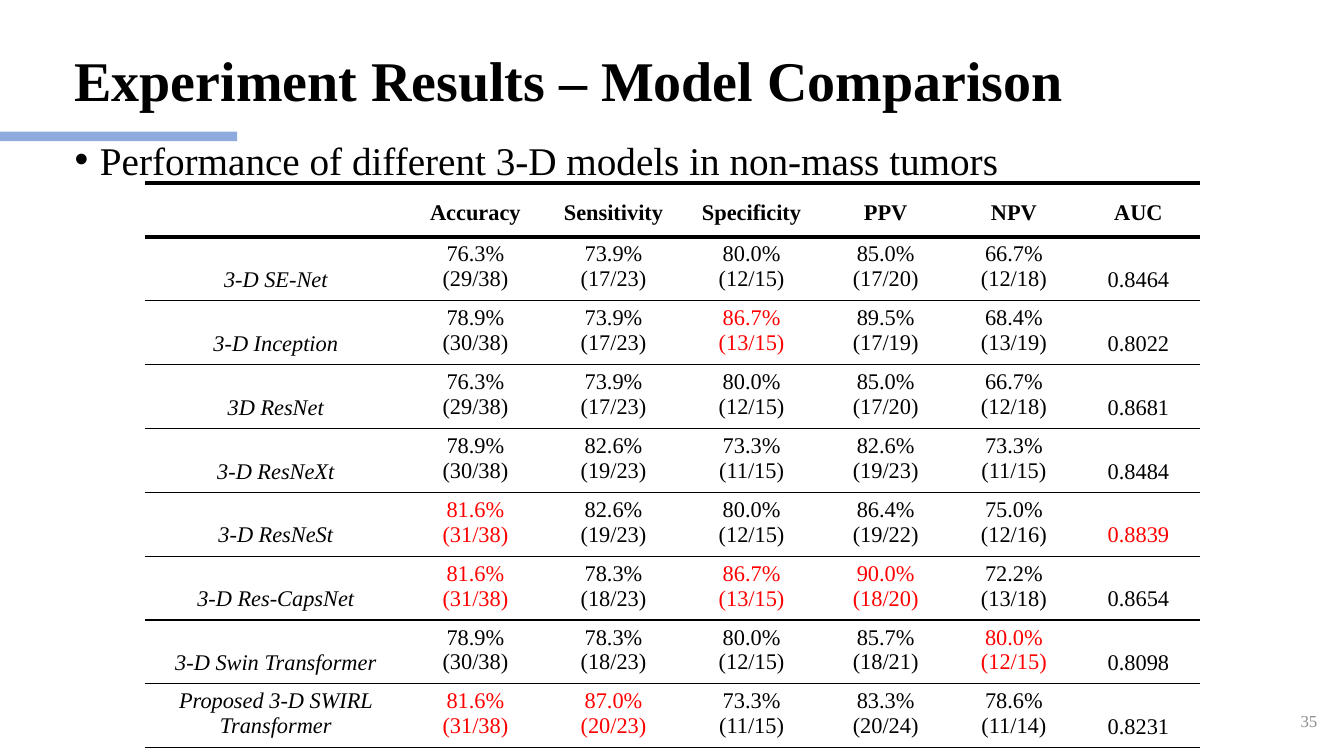
from dataclasses import dataclass

from lxml import etree
from pptx import Presentation
from pptx.dml.color import RGBColor
from pptx.enum.shapes import MSO_SHAPE
from pptx.enum.text import MSO_ANCHOR, PP_ALIGN
from pptx.oxml.ns import qn
from pptx.util import Cm, Pt

LEFT, CENTER, RIGHT = PP_ALIGN.LEFT, PP_ALIGN.CENTER, PP_ALIGN.RIGHT
TOP, MIDDLE = MSO_ANCHOR.TOP, MSO_ANCHOR.MIDDLE
RECT = MSO_SHAPE.RECTANGLE


@dataclass(frozen=True)
class Theme:
    face: str = "Times New Roman"
    ink: str = "000000"
    best: str = "FF0000"
    accent: str = "8FAADC"
    muted: str = "8C8C8C"
    title: int = 40
    body: int = 28
    cell: int = 16
    page: int = 12
    thick: int = 3
    thin: int = 1


theme = Theme()


def write(para, text, size, color=theme.ink, align=CENTER, bold=False, italic=False):
    para.text = text
    para.alignment = align
    font = para.font
    font.name, font.size = theme.face, Pt(size)
    font.bold, font.italic = bold, italic
    font.color.rgb = RGBColor.from_string(color)


def add_box(left, top, width, height, anchor):
    """Add a wrapping text box, placed in cm, and return its first paragraph."""
    box = slide.shapes.add_textbox(Cm(left), Cm(top), Cm(width), Cm(height))
    frame = box.text_frame
    frame.word_wrap = True
    frame.vertical_anchor = anchor
    return frame.paragraphs[0]


deck = Presentation()
deck.slide_width, deck.slide_height = Cm(33.87), Cm(19.05)
slide = deck.slides.add_slide(deck.slide_layouts[6])

# Accent bar, title, bullet line and page number
bar = slide.shapes.add_shape(RECT, Cm(0), Cm(3.32), Cm(5.98), Cm(0.24))
bar.shadow.inherit = False
bar.fill.solid()
bar.fill.fore_color.rgb = RGBColor.from_string(theme.accent)
bar.line.fill.background()

title = add_box(1.63, 0.64, 27.3, 2.92, MIDDLE)
title.line_spacing = 0.9
write(title, "Experiment Results – Model Comparison", theme.title, align=LEFT, bold=True)

point = add_box(1.63, 3.3, 30.6, 1.4, TOP)
props = point._p.get_or_add_pPr()
props.set("marL", str(Cm(0.64)))
props.set("indent", str(-Cm(0.64)))
etree.SubElement(props, qn("a:buFont"), typeface="Arial")
etree.SubElement(props, qn("a:buChar"), char="•")
write(point, "Performance of different 3-D models in non-mass tumors", theme.body, align=LEFT)

write(add_box(32.03, 17.65, 1.42, 1.02, MIDDLE), "35", theme.page, theme.muted, RIGHT)

# Results: correct / total counts per measure, then AUC
heads = ["", "Accuracy", "Sensitivity", "Specificity", "PPV", "NPV", "AUC"]
models = [
    ("3-D SE-Net", "29/38", "17/23", "12/15", "17/20", "12/18", "0.8464"),
    ("3-D Inception", "30/38", "17/23", "13/15", "17/19", "13/19", "0.8022"),
    ("3D ResNet", "29/38", "17/23", "12/15", "17/20", "12/18", "0.8681"),
    ("3-D ResNeXt", "30/38", "19/23", "11/15", "19/23", "11/15", "0.8484"),
    ("3-D ResNeSt", "31/38", "19/23", "12/15", "19/22", "12/16", "0.8839"),
    ("3-D Res-CapsNet", "31/38", "18/23", "13/15", "18/20", "13/18", "0.8654"),
    ("3-D Swin Transformer", "30/38", "18/23", "12/15", "18/21", "12/15", "0.8098"),
    ("Proposed 3-D SWIRL Transformer", "31/38", "20/23", "11/15", "20/24", "11/14", "0.8231"),
]
rows = []
for name, *counts, auc in models:
    row = [[name]]
    for count in counts:
        hits, total = map(int, count.split("/"))
        row.append([f"{hits / total:.1%}", f"({count})"])
    rows.append(row + [[auc]])
# The highest share in each measure is shown in red
peaks = [max(lines[0] for lines in column) for column in zip(*rows)]

widths = [6.58, 3.48, 3.48, 3.48, 3.28, 3.18, 3.1]
high, low = 1.35, 1.54
frame = slide.shapes.add_table(
    len(rows) + 1, len(heads), Cm(3.66), Cm(4.62),
    Cm(sum(widths)), Cm(high + low * len(rows)))
grid = frame.table
grid.first_row = grid.horz_banding = False
for column, width in zip(grid.columns, widths):
    column.width = Cm(width)
for r, line in enumerate(grid.rows):
    line.height = Cm(low if r else high)

for r, row in enumerate([[[head] for head in heads]] + rows):
    above = theme.thick if r < 2 else theme.thin
    below = theme.thin if r else theme.thick
    for c, lines in enumerate(row):
        cell = grid.cell(r, c)
        props = cell._tc.get_or_add_tcPr()
        for side, weight in (("L", 0), ("R", 0), ("T", above), ("B", below)):
            edge = etree.SubElement(props, qn(f"a:ln{side}"), w=str(Pt(weight)))
            if weight:
                paint = etree.SubElement(edge, qn("a:solidFill"))
                etree.SubElement(paint, qn("a:srgbClr"), val=theme.ink)
            else:
                etree.SubElement(edge, qn("a:noFill"))
        cell.fill.background()

        best = r > 0 and c > 0 and lines[0] == peaks[c]
        for i, text in enumerate(lines):
            para = cell.text_frame.paragraphs[0] if i == 0 else cell.text_frame.add_paragraph()
            if r == 0:
                para.line_spacing = 1.5
            elif c == len(heads) - 1 or (c == 0 and r < len(rows)):
                para.line_spacing = Pt(36)
            write(para, text, theme.cell, theme.best if best else theme.ink,
                  bold=r == 0, italic=r > 0 and c == 0)

deck.save("out.pptx")
